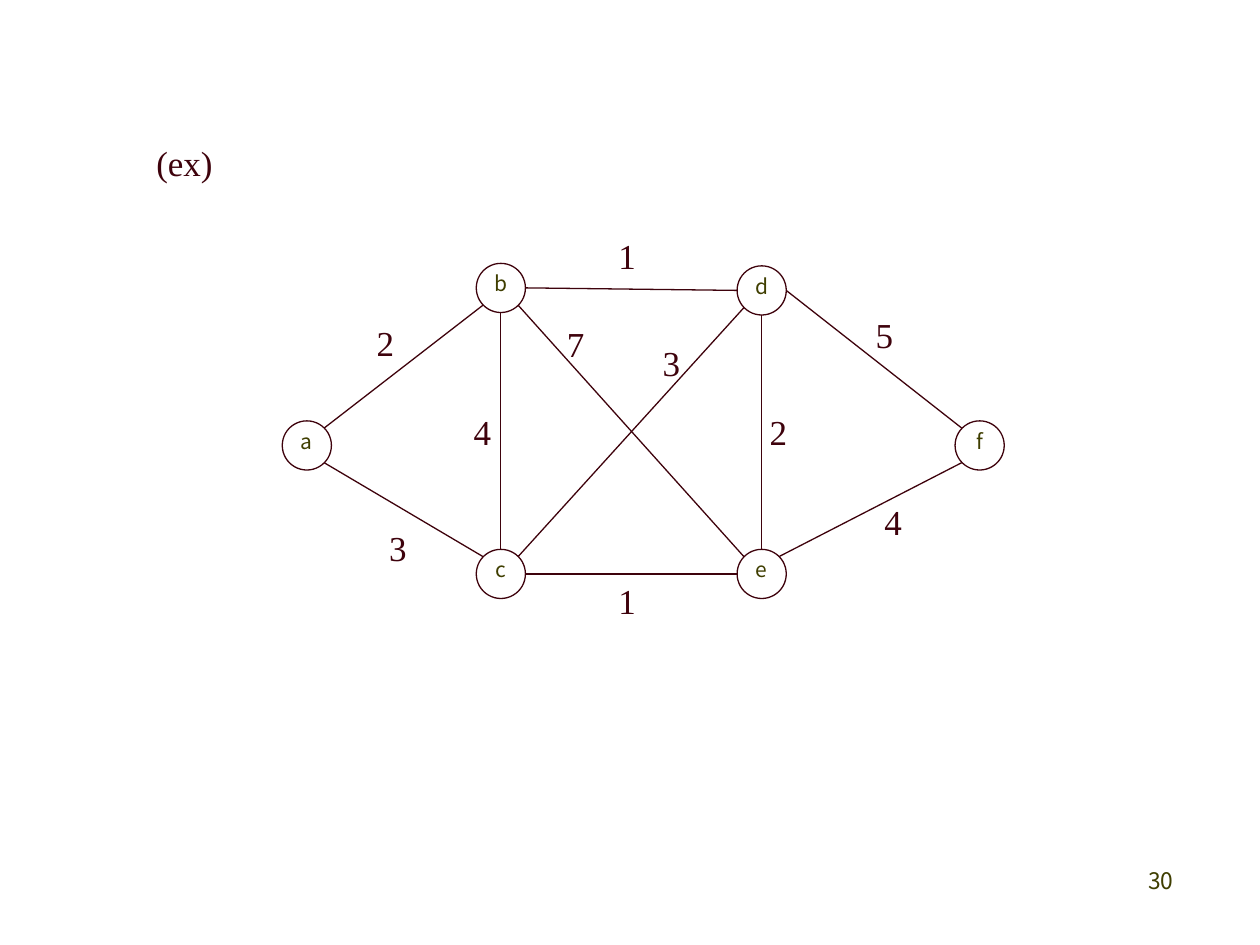
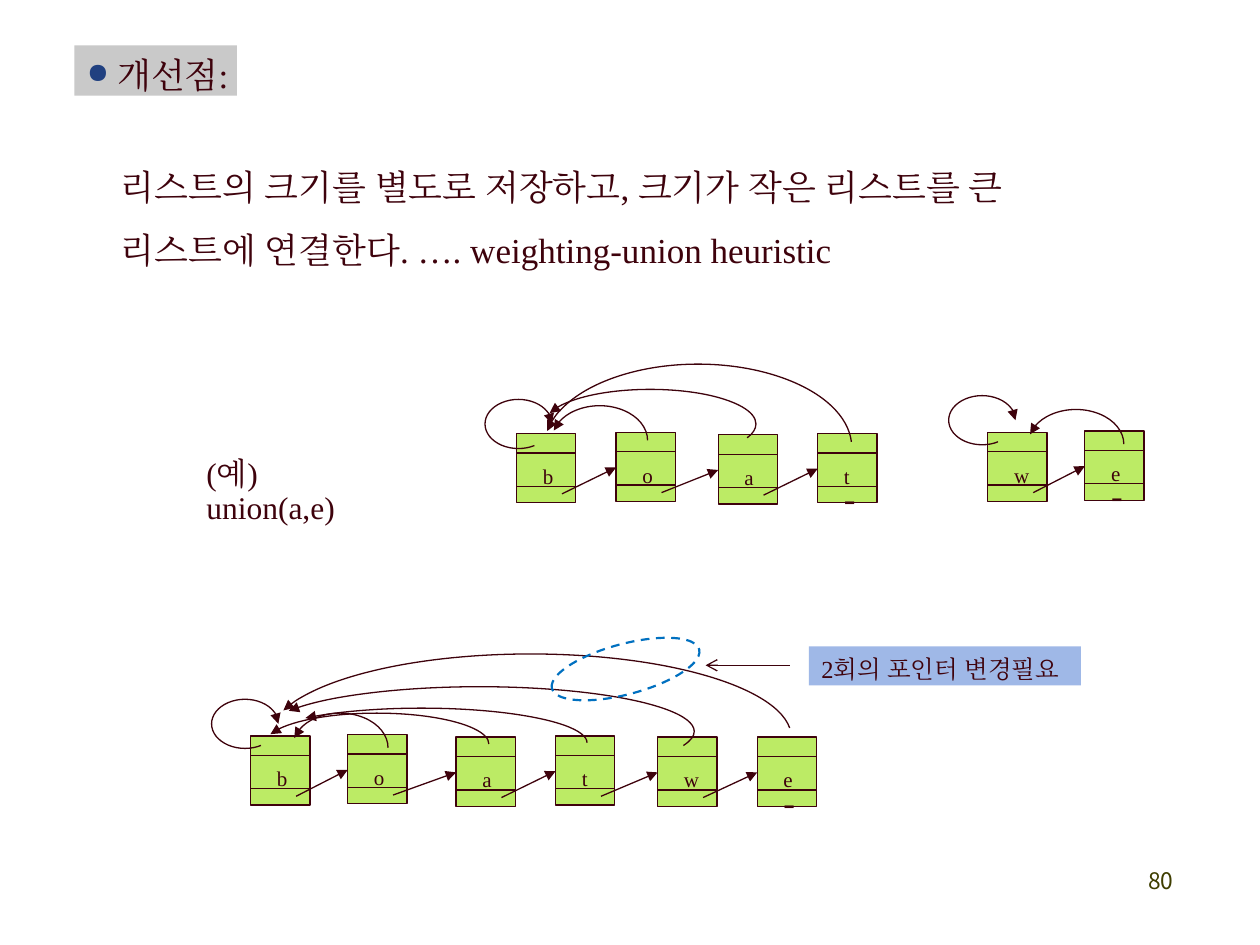
from lxml.etree import SubElement
from pptx import Presentation
from pptx.dml.color import RGBColor
from pptx.enum.dml import MSO_LINE
from pptx.enum.shapes import MSO_CONNECTOR, MSO_SHAPE
from pptx.enum.text import MSO_ANCHOR, MSO_AUTO_SIZE, PP_ALIGN
from pptx.oxml.ns import qn
from pptx.util import Inches, Pt

# The slide is a grid of 100 columns by 75 rows; all lengths are in grid units.
COLUMNS, ROWS = 100, 75
UNIT = Inches(10) / COLUMNS
INK, OLIVE, GREEN = "3E020C", "3F3E00", "BCEB65"
GREY, SKY, BLUE, NAVY = "C9C9C9", "9FB8E7", "0070C0", "204080"
SERIF, SANS = "Times New Roman", "Noto Sans CJK KR"
TITLE_ONLY, TITLE_AND_BODY = 5, 1

NODE_SIZE = 3.9
CELL_WIDTH, CELL_HEIGHT = 4.7, 5.5
CELL_DIVIDERS = (1.55, 4.2)


def units(*lengths):
    return [round(length * UNIT) for length in lengths]


def colour(hex_string):
    return RGBColor.from_string(hex_string)


def write_text(shape, text, size, font=SERIF, ink=INK, align=PP_ALIGN.LEFT,
               spacing=1.0, **frame_format):
    """Fill a shape with one paragraph; frame_format overrides text frame attributes."""
    frame = shape.text_frame
    frame_values = {"word_wrap": True, "auto_size": MSO_AUTO_SIZE.NONE,
                    "vertical_anchor": MSO_ANCHOR.TOP, **frame_format}
    for name, value in frame_values.items():
        setattr(frame, name, value)
    paragraph = frame.paragraphs[0]
    paragraph_values = {"alignment": align, "line_spacing": spacing, "space_before": Pt(0)}
    for name, value in paragraph_values.items():
        setattr(paragraph, name, value)
    run = paragraph.add_run()
    run.text = text
    for name, value in {"name": font, "size": Pt(size)}.items():
        setattr(run.font, name, value)
    run.font.color.rgb = colour(ink)
    SubElement(run.font._element, qn("a:ea"), typeface=font)
    return paragraph


def set_bullet(paragraph, bullet=None, indent=0.0):
    properties = paragraph._p.get_or_add_pPr()
    properties.set("marL", str(Inches(indent)))
    properties.set("indent", str(-Inches(indent)))
    if bullet is None:
        SubElement(properties, qn("a:buNone"))
        return
    bullet_colour = SubElement(properties, qn("a:buClr"))
    SubElement(bullet_colour, qn("a:srgbClr"), val=NAVY)
    SubElement(properties, qn("a:buSzPct"), val="80000")
    SubElement(properties, qn("a:buChar"), char=bullet)


def style_line(line, ink=INK, width=0.75, dash=None, head=None, tail=None):
    line.color.rgb = colour(ink)
    line.width = Pt(width)
    if dash:
        line.dash_style = dash
    for tag, arrow in (("a:headEnd", head), ("a:tailEnd", tail)):
        if arrow:
            SubElement(line._get_or_add_ln(), qn(tag), type=arrow)


def add_line(slide, start, end, tail=None):
    connector = slide.shapes.add_connector(
        MSO_CONNECTOR.STRAIGHT, *units(*start, *end))
    style_line(connector.line, tail=tail)
    SubElement(connector._element.spPr, qn("a:effectLst"))


def add_form(slide, kind, box, fill=None, outlined=True, **line_format):
    shape = slide.shapes.add_shape(kind, *units(*box))
    shape.shadow.inherit = False
    if fill:
        shape.fill.solid()
        shape.fill.fore_color.rgb = colour(fill)
    else:
        shape.fill.background()
    if outlined:
        style_line(shape.line, **line_format)
    else:
        shape.line.fill.background()
    return shape


def add_arc(slide, box, start, end, **arrows):
    """Draw a clockwise arc between two angles in degrees."""
    arc = add_form(slide, MSO_SHAPE.ARC, box, **arrows)
    for index, angle in enumerate((start, end)):
        arc.adjustments[index] = angle * 0.6


def add_label(slide, box, text, size, **text_format):
    label = slide.shapes.add_textbox(*units(*box))
    return write_text(label, text, size, **text_format)


def move(shape, box):
    names = ("left", "top", "width", "height")
    for name, value in zip(names, units(*box)):
        setattr(shape, name, value)
    return shape


def start_slide(presentation, layout, number):
    slide = presentation.slides.add_slide(presentation.slide_layouts[layout])
    add_label(slide, (73.3, 68.3, 20.8, 5), str(number), 13,
              font=SANS, ink=OLIVE, align=PP_ALIGN.RIGHT)
    return slide


def draw_graph(slide, left, top, nodes, edges, weights):
    """Draw a weighted graph; edges join points given as shares of a node."""
    def rim_point(name, across, down):
        column, row = nodes[name]
        return (left + column + across * NODE_SIZE, top + row + down * NODE_SIZE)

    for name, (column, row) in nodes.items():
        node = add_form(slide, MSO_SHAPE.OVAL,
                        (left + column, top + row, NODE_SIZE, NODE_SIZE))
        write_text(node, name, 12, font=SANS, ink=OLIVE, align=PP_ALIGN.CENTER,
                   margin_left=0, margin_top=0, margin_right=0, margin_bottom=0)
    for first, first_side, second, second_side in edges:
        add_line(slide, rim_point(first, *first_side), rim_point(second, *second_side))
    for weight, column, row in weights:
        add_label(slide, (left + column, top + row, 3.5, 4.4), weight, 20)


def draw_cell(slide, left, top, letter):
    add_form(slide, MSO_SHAPE.RECTANGLE, (left, top, CELL_WIDTH, CELL_HEIGHT), GREEN)
    for row in CELL_DIVIDERS:
        add_line(slide, (left, top + row), (left + CELL_WIDTH, top + row))
    add_label(slide, (left + 1.1, top + 2.1, 3.6, 2.8), letter, 12, spacing=0.9)


def draw_chain(slide, left, top, cells, loop, back_arcs):
    """Draw a linked list: cells, next arrows, end mark and pointers to the head."""
    corners = [(left + column, top + row) for _, column, row in cells]
    for (letter, _, _), corner in zip(cells, corners):
        draw_cell(slide, *corner, letter)
    for (column, row), (next_column, next_row) in zip(corners, corners[1:]):
        add_line(slide, (column + 3.6, row + 4.8), (next_column, next_row + 2.8),
                 tail="triangle")
    last_column, last_row = corners[-1]
    add_label(slide, (last_column + 1.1, last_row + 3.3, 3, 4), "-", 20, spacing=0.9)
    loop_column, loop_row = loop
    add_arc(slide, (left + loop_column, top + loop_row, 5.3, 3.9), 53.53, 0,
            tail="triangle")
    for column, row, width, height, start, end in back_arcs:
        add_arc(slide, (left + column, top + row, width, height), start, end,
                head="triangle")


def draw_callout(slide, left, top):
    """Ring the changed pointers and explain them to the right."""
    ring = add_form(slide, MSO_SHAPE.OVAL, (left, top, 12.1, 4),
                    ink=BLUE, width=1.25, dash=MSO_LINE.DASH)
    ring.rotation = 345.1
    add_line(slide, (left + 19.1, top + 1.7), (left + 12.4, top + 1.7), tail="arrow")
    note = add_form(slide, MSO_SHAPE.RECTANGLE, (left + 20.6, top + 0.2, 21.6, 3.1),
                    SKY, outlined=False)
    write_text(note, "2회의 포인터 변경필요", 14, spacing=0.9, margin_top=Inches(0.09))


def build_graph_slide(presentation):
    slide = start_slide(presentation, TITLE_ONLY, 30)
    title = move(slide.shapes.title, (11.4, 10.7, 6.5, 4.4))
    write_text(title, "(ex)", 20, word_wrap=False)

    upper_left, upper_right = (0.14, 0.85 - 0.7), (0.85, 0.15)
    lower_left, lower_right = (0.14, 0.85), (0.85, 0.85)
    north, south, west, east = (0.5, 0), (0.5, 1), (0, 0.5), (1, 0.5)
    nodes = {"a": (0, 12.5), "b": (15.4, 0), "c": (15.4, 22.7),
             "d": (36.1, 0.2), "e": (36.1, 22.7), "f": (53.4, 12.5)}
    edges = [
        ("b", lower_left, "a", upper_right), ("a", lower_right, "c", upper_left),
        ("c", north, "b", south), ("b", east, "d", west),
        ("d", south, "e", north), ("c", east, "e", west),
        ("e", upper_right, "f", lower_left), ("f", upper_left, "d", east),
        ("b", lower_right, "e", upper_left), ("d", lower_left, "c", upper_right),
    ]
    weights = [
        ("2", 6.5, 4.1), ("3", 7.5, 20.4), ("7", 21.6, 4.2), ("1", 25.7, -2.8),
        ("4", 14.2, 11.2), ("5", 46.1, 3.5), ("1", 25.7, 24.6), ("4", 46.8, 18.3),
        ("2", 37.7, 11.2), ("3", 29.2, 5.7),
    ]
    draw_graph(slide, 22.4, 20.9, nodes, edges, weights)


def build_union_slide(presentation):
    slide = start_slide(presentation, TITLE_AND_BODY, 80)
    title = move(slide.shapes.title, (5.9, 3.6, 12.9, 4))
    title.fill.solid()
    title.fill.fore_color.rgb = colour(GREY)
    heading = write_text(title, "개선점:", 20, spacing=0.9, word_wrap=False,
                         margin_top=Inches(0.1))
    set_bullet(heading, "●", 0.24)

    body = move(slide.placeholders[1], (8.6, 11, 78.8, 10.5))
    statement = write_text(
        body, "리스트의 크기를 별도로 저장하고, 크기가 작은 리스트를 큰 리스트에 연결한다. "
        "…. weighting-union heuristic", 20, spacing=1.5)
    set_bullet(statement)
    add_label(slide, (15.4, 35.9, 16, 6), "(예) union(a,e)", 18, spacing=0.9)

    draw_chain(slide, 41, 34.4,
               [("b", 0, 0), ("o", 7.9, -0.1), ("a", 16, 0.1), ("t", 23.9, 0)],
               (-2.5, -2.7),
               [(2.8, -2.2, 7.6, 5.5, 192.06, 0),
                (2.2, -3.5, 16.8, 5.5, 186.17, 8.11),
                (2.2, -5.5, 24.4, 13.2, 186.17, 357.98)])
    draw_chain(slide, 78.4, 34.3, [("w", 0, 0), ("e", 7.7, -0.1)],
               (-3.1, -2.9), [(3.2, -1.8, 7.6, 5.5, 192.06, 0)])
    draw_chain(slide, 19.9, 58.4,
               [("b", 0, 0), ("o", 7.7, -0.1), ("a", 16.3, 0.1),
                ("t", 24.2, 0), ("w", 32.3, 0.1), ("e", 40.2, 0.1)],
               (-3.1, -2.9),
               [(3.3, -1.8, 7.6, 5.5, 192.06, 0),
                (1.1, -1.8, 17.8, 4.9, 185.28, 0),
                (0.4, -2.2, 26.3, 5.5, 192.06, 0),
                (1.1, -3.9, 34.1, 7.1, 186.17, 3.94),
                (1.5, -6.5, 41.4, 13.2, 186.17, 357.98)])
    draw_callout(slide, 43.6, 51.1)


def main():
    presentation = Presentation()
    presentation.slide_width, presentation.slide_height = units(COLUMNS, ROWS)
    build_graph_slide(presentation)
    build_union_slide(presentation)
    presentation.save("out.pptx")


if __name__ == "__main__":
    main()
